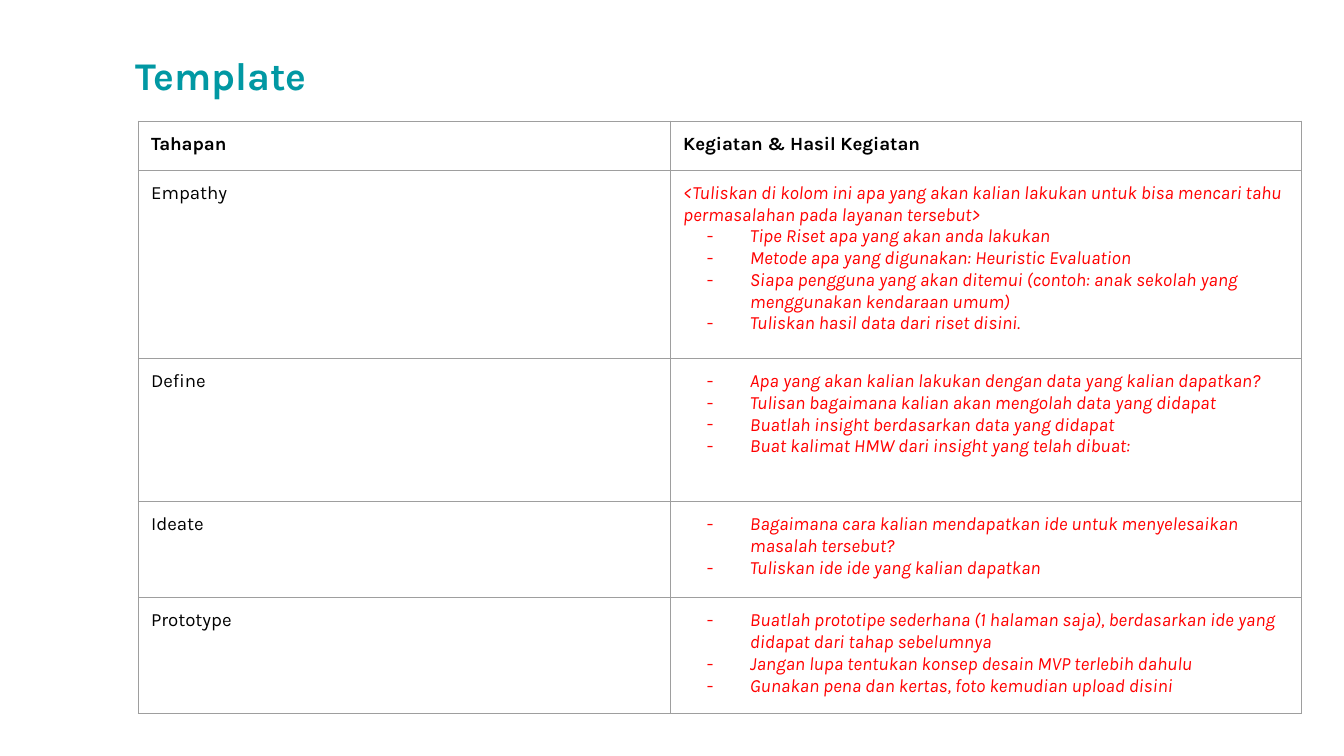
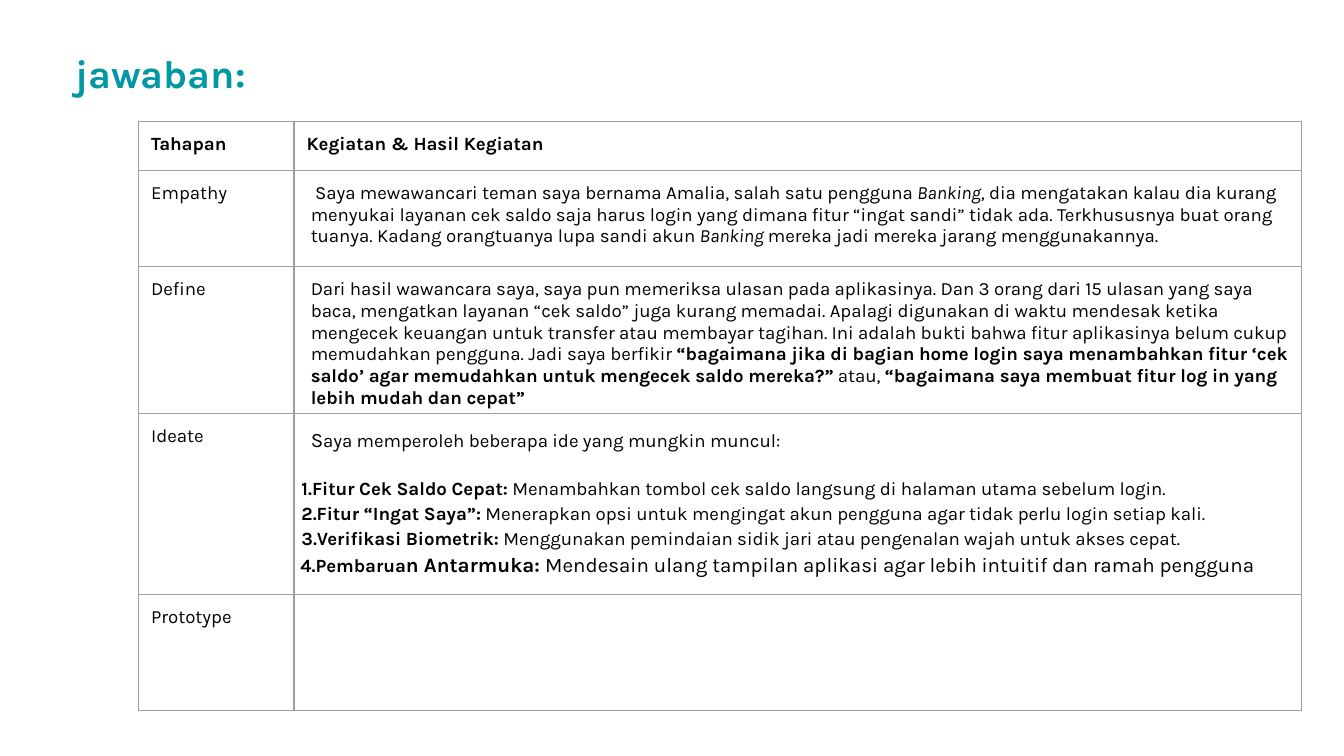
from lxml.etree import SubElement
from pptx import Presentation
from pptx.dml.color import RGBColor
from pptx.enum.text import MSO_ANCHOR, MSO_AUTO_SIZE, PP_ALIGN
from pptx.oxml.ns import qn
from pptx.util import Pt

COLORS = {"title": "0198A3", "text": "000000", "hint": "FF0000", "border": "9E9E9E"}
FONT = "Karla"
HEADINGS = ["Tahapan", "Kegiatan & Hasil Kegiatan"]
STAGES = ["Empathy", "Deﬁne", "Ideate", "Prototype"]
TABLE_LEFT, TABLE_TOP = 74.25, 65

# Paragraph kinds: left margin, first-line indent, line spacing, space before, bullet
KINDS = {
    "label": (6.75, 0, None, None, None),
    "dash": (42.5, -23, None, None, "-"),
    "answer": (9, 0, None, None, None),
    "lead": (9, 0, 1.15, 12, None),
    "first": (9, -5, 1.15, 12, "number"),
    "number": (9, -5, 1.15, None, "number"),
    "last": (9, -5.5, 1.15, None, "number"),
}


def add_run(paragraph, text, color, size=10, bold=False, italic=False):
    run = paragraph.add_run()
    run.text = text
    font = run.font
    font.name, font.size, font.bold, font.italic = FONT, Pt(size), bold, italic
    font.color.rgb = RGBColor.from_string(COLORS[color])


def format_paragraph(paragraph, kind, color):
    margin, indent, line_spacing, space_before, bullet = KINDS[kind]
    paragraph.alignment = PP_ALIGN.LEFT
    if line_spacing:
        paragraph.line_spacing = line_spacing
    if space_before:
        paragraph.space_before = Pt(space_before)
    properties = paragraph._p.get_or_add_pPr()
    properties.set("marL", str(Pt(margin)))
    properties.set("indent", str(Pt(indent)))
    if bullet:
        bullet_color = SubElement(properties, qn("a:buClr"))
        SubElement(bullet_color, qn("a:srgbClr"), val=COLORS[color])
        SubElement(properties, qn("a:buFont"), typeface=FONT)
        if bullet == "number":
            SubElement(properties, qn("a:buAutoNum"), type="arabicPeriod")
        else:
            SubElement(properties, qn("a:buChar"), char=bullet)


# Hints for each stage: (paragraph kind, text)
hints = [
    [
        ("label", "<Tuliskan di kolom ini apa yang akan kalian lakukan untuk bisa "
                  "mencari tahu permasalahan pada layanan tersebut>"),
        ("dash", "Tipe Riset apa yang akan anda lakukan"),
        ("dash", "Metode apa yang digunakan: Heuristic Evaluation"),
        ("dash", "Siapa pengguna yang akan ditemui (contoh: anak sekolah yang "
                 "menggunakan kendaraan umum)"),
        ("dash", "Tuliskan hasil data dari riset disini."),
    ],
    [
        ("dash", "Apa yang akan kalian lakukan dengan data yang kalian dapatkan?"),
        ("dash", "Tulisan bagaimana kalian akan mengolah data yang didapat"),
        ("dash", "Buatlah insight berdasarkan data yang didapat"),
        ("dash", "Buat kalimat HMW dari insight yang telah dibuat:"),
    ],
    [
        ("dash", "Bagaimana cara kalian mendapatkan ide untuk menyelesaikan masalah tersebut?"),
        ("dash", "Tuliskan ide ide yang kalian dapatkan"),
    ],
    [
        ("dash", "Buatlah prototipe sederhana (1 halaman saja), berdasarkan ide "
                 "yang didapat dari tahap sebelumnya"),
        ("dash", "Jangan lupa tentukan konsep desain MVP terlebih dahulu"),
        ("dash", "Gunakan pena dan kertas, foto kemudian upload disini"),
    ],
]
hint_style = {"italic": True}
hint_cells = [[(kind, [(text, hint_style)]) for kind, text in cell] for cell in hints]

# Answers for each stage: (paragraph kind, runs)
plain, bold, italic = {}, {"bold": True}, {"italic": True}
answer_cells = [
    [("answer", [
        (" Saya mewawancari teman saya bernama Amalia, salah satu pengguna ", plain),
        ("Banking", italic),
        (", dia mengatakan kalau dia kurang menyukai layanan cek saldo saja harus login "
         "yang dimana fitur “ingat sandi” tidak ada. Terkhususnya buat orang tuanya. "
         "Kadang orangtuanya lupa sandi akun ", plain),
        ("Banking", italic),
        (" mereka jadi mereka jarang menggunakannya.", plain),
    ])],
    [("answer", [
        ("Dari hasil wawancara saya, saya pun memeriksa ulasan pada aplikasinya. "
         "Dan 3 orang dari 15 ulasan yang saya baca, mengatkan layanan “cek saldo” juga "
         "kurang memadai. Apalagi digunakan di waktu mendesak ketika mengecek keuangan "
         "untuk transfer atau membayar tagihan. Ini adalah bukti bahwa fitur aplikasinya "
         "belum cukup memudahkan pengguna. Jadi saya berfikir ", plain),
        ("“bagaimana jika di bagian home login saya menambahkan fitur ‘cek saldo’ agar "
         "memudahkan untuk mengecek saldo mereka?”", bold),
        (" atau, ", plain),
        ("“bagaimana saya membuat fitur log in yang lebih mudah dan cepat”", bold),
    ])],
    [
        ("lead", [("S", {"size": 11}),
                  ("aya memperoleh beberapa ide yang mungkin muncul:", plain)]),
        ("first", [("Fitur Cek Saldo Cepat:", bold),
                   (" Menambahkan tombol cek saldo langsung di halaman utama sebelum login.", plain)]),
        ("number", [("Fitur “Ingat Saya”:", bold),
                    (" Menerapkan opsi untuk mengingat akun pengguna agar tidak perlu "
                     "login setiap kali.", plain)]),
        ("number", [("Verifikasi Biometrik:", bold),
                    (" Menggunakan pemindaian sidik jari atau pengenalan wajah untuk "
                     "akses cepat.", plain)]),
        ("last", [("Pembarua", bold),
                  ("n Antarmuka:", {"size": 11, "bold": True}),
                  (" Mendesain ulang tampilan aplikasi agar lebih intuitif dan ramah "
                   "pengguna", {"size": 11})]),
    ],
    [],
]

# Slides: title, title top inset and margin, column widths, row heights, text color, cells
slides = [
    ("Template", 0.75, 32.5, [285, 338], [26.25, 100.75, 76.75, 51.5, 62.25],
     "hint", hint_cells),
    ("jawaban:", 0, 0, [83.25, 539.75], [26.25, 51.5, 77, 97, 62.25],
     "text", answer_cells),
]

presentation = Presentation()
presentation.slide_width, presentation.slide_height = Pt(720), Pt(405)

for title_text, title_inset, title_margin, widths, heights, color, cells in slides:
    slide = presentation.slides.add_slide(presentation.slide_layouts[5])

    # Title
    title = slide.shapes.title
    title.left, title.top, title.width, title.height = Pt(40.25), Pt(26.5), Pt(268), Pt(27)
    frame = title.text_frame
    frame.margin_left = frame.margin_right = frame.margin_bottom = 0
    frame.margin_top = Pt(title_inset)
    frame.vertical_anchor = MSO_ANCHOR.TOP
    frame.word_wrap = True
    frame.auto_size = MSO_AUTO_SIZE.SHAPE_TO_FIT_TEXT
    paragraph = frame.paragraphs[0]
    paragraph.alignment = PP_ALIGN.LEFT
    paragraph._p.get_or_add_pPr().set("marL", str(Pt(title_margin)))
    add_run(paragraph, title_text, "title", size=21, bold=True)

    # Table grid
    table = slide.shapes.add_table(len(heights), len(widths), Pt(TABLE_LEFT), Pt(TABLE_TOP),
                                   Pt(sum(widths)), Pt(sum(heights))).table
    table.first_row = table.horz_banding = False
    for column, width in zip(table.columns, widths):
        column.width = Pt(width)
    for row, height in zip(table.rows, heights):
        row.height = Pt(height)

    # Cell insets, borders and fill
    for cell in table.iter_cells():
        cell.margin_left = cell.margin_right = cell.margin_bottom = 0
        cell.margin_top = Pt(6.5)
        cell_properties = cell._tc.get_or_add_tcPr()
        for side in ("a:lnL", "a:lnR", "a:lnT", "a:lnB"):
            line = SubElement(cell_properties, qn(side), w=str(Pt(0.75)))
            line_fill = SubElement(line, qn("a:solidFill"))
            SubElement(line_fill, qn("a:srgbClr"), val=COLORS["border"])
        cell.fill.background()

    # Headings and stage names
    labels = [(0, column, text, True) for column, text in enumerate(HEADINGS)]
    labels += [(row, 0, text, False) for row, text in enumerate(STAGES, 1)]
    for row, column, text, is_heading in labels:
        paragraph = table.cell(row, column).text_frame.paragraphs[0]
        format_paragraph(paragraph, "label", "text")
        add_run(paragraph, text, "text", bold=is_heading)

    # Activities for each stage
    for row, paragraphs in enumerate(cells, 1):
        frame = table.cell(row, 1).text_frame
        for index, (kind, runs) in enumerate(paragraphs):
            paragraph = frame.add_paragraph() if index else frame.paragraphs[0]
            format_paragraph(paragraph, kind, color)
            for text, style in runs:
                add_run(paragraph, text, color, **style)

presentation.save("out.pptx")
